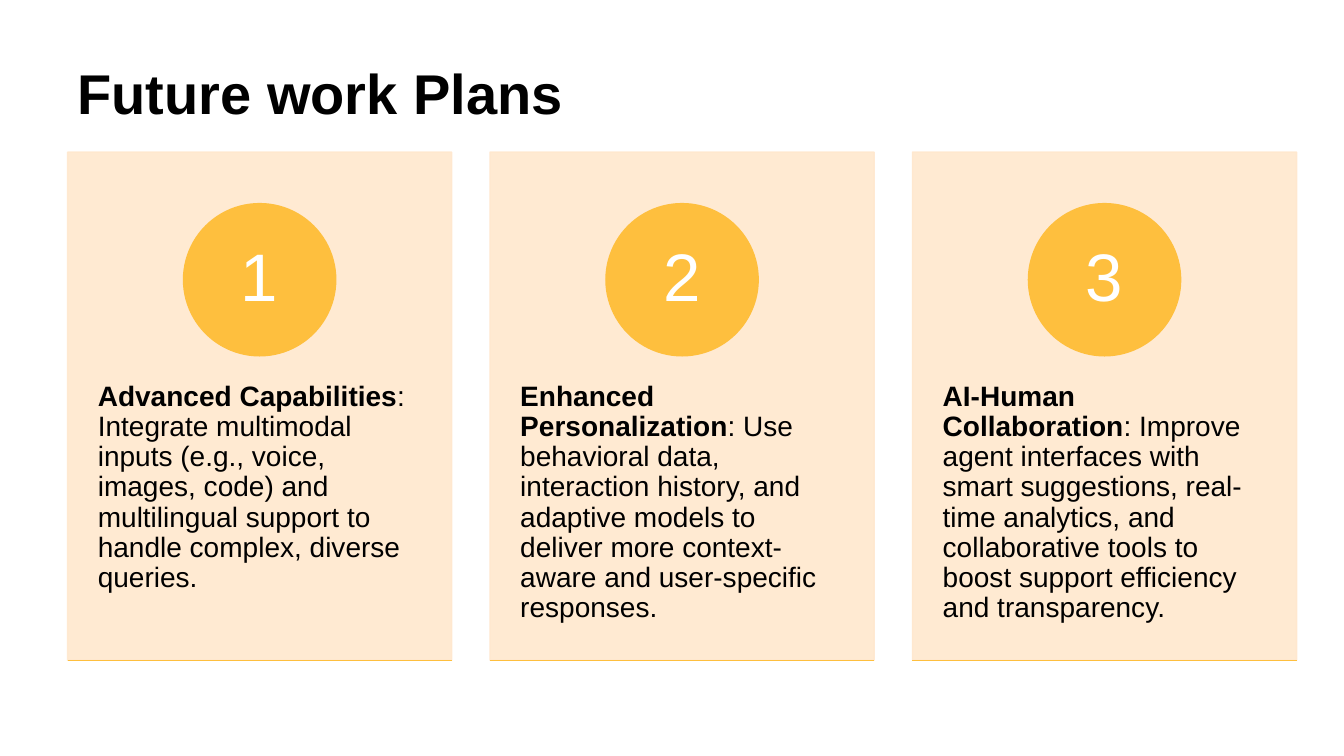
"""Build the Future work Plans slide: three numbered cards under a title."""
from lxml.etree import SubElement
from pptx import Presentation
from pptx.dml.color import RGBColor
from pptx.enum.shapes import MSO_CONNECTOR, MSO_SHAPE
from pptx.enum.text import MSO_ANCHOR, PP_ALIGN
from pptx.oxml.ns import qn
from pptx.util import Inches, Pt

TITLE = "Future work Plans"
PLANS = [
    ("Advanced Capabilities",
     ": Integrate multimodal inputs (e.g., voice, images, code) and "
     "multilingual support to handle complex, diverse queries."),
    ("Enhanced Personalization",
     ": Use behavioral data, interaction history, and adaptive models to "
     "deliver more context-aware and user-specific responses."),
    ("AI-Human Collaboration",
     ": Improve agent interfaces with smart suggestions, real-time analytics, "
     "and collaborative tools to boost support efficiency and transparency."),
]
COLORS = {"text": "000000", "card": "FFE8CE", "accent": "FEBF3E", "number": "FFFFFF"}
FONT = "Arial"
SLIDE_W, SLIDE_H = 13.33, 7.5
LEFT, CARD_TOP, CARD_W, CARD_H, PITCH = 0.67, 1.51, 3.81, 5.04, 4.19
TITLE_TOP, TITLE_W = 0.4, 12.19
BODY_TOP, BODY_H = 3.43, 3.02
CIRCLE_TOP, CIRCLE_SIZE = 2.02, 1.51


def color(key):
    return RGBColor.from_string(COLORS[key])


def box(*lengths):
    return [Inches(length) for length in lengths]


def set_margins(frame, side, end):
    frame.margin_left = frame.margin_right = Inches(side)
    frame.margin_top = frame.margin_bottom = Inches(end)


def style(paragraph, size, key):
    paragraph.line_spacing = 0.9
    paragraph.font.name = FONT
    paragraph.font.size = Pt(size)
    paragraph.font.color.rgb = color(key)


def add_block(slide, preset, place, key):
    block = slide.shapes.add_shape(preset, *box(*place))
    block.shadow.inherit = False
    block.fill.solid()
    block.fill.fore_color.rgb = color(key)
    block.line.color.rgb = color(key)
    block.line.width = Pt(1)
    return block


def add_plan(slide, index, heading, detail):
    left = LEFT + index * PITCH
    card = add_block(slide, MSO_SHAPE.RECTANGLE, (left, CARD_TOP, CARD_W, CARD_H), "card")
    for tint in card._element.spPr.iter(qn("a:srgbClr")):
        SubElement(tint, qn("a:alpha"), val="90000")

    body = slide.shapes.add_textbox(*box(left, BODY_TOP, CARD_W, BODY_H)).text_frame
    body.word_wrap = True
    set_margins(body, 0.3, 0.36)
    paragraph = body.paragraphs[0]
    style(paragraph, 20, "text")
    lead = paragraph.add_run()
    lead.text = heading
    lead.font.bold = True
    paragraph.add_run().text = detail

    circle_left = left + (CARD_W - CIRCLE_SIZE) / 2
    circle = add_block(slide, MSO_SHAPE.OVAL,
                       (circle_left, CIRCLE_TOP, CIRCLE_SIZE, CIRCLE_SIZE), "accent")
    number = circle.text_frame
    number.text = str(index + 1)
    number.vertical_anchor = MSO_ANCHOR.MIDDLE
    set_margins(number, 0.12, 0.01)
    number.paragraphs[0].alignment = PP_ALIGN.CENTER
    style(number.paragraphs[0], 48, "number")

    bottom = CARD_TOP + CARD_H
    rule = slide.shapes.add_connector(MSO_CONNECTOR.STRAIGHT,
                                      *box(left, bottom, left + CARD_W, bottom))
    rule.line.color.rgb = color("accent")
    rule.line.width = Pt(1)
    SubElement(rule._element.spPr, qn("a:effectLst"))


def main():
    deck = Presentation()
    deck.slide_width, deck.slide_height = box(SLIDE_W, SLIDE_H)
    slide = deck.slides.add_slide(deck.slide_layouts[5])
    title = slide.shapes.title
    title.left, title.top, title.width, title.height = box(
        LEFT, TITLE_TOP, TITLE_W, CARD_TOP - TITLE_TOP)
    title.text_frame.text = TITLE
    title.text_frame.vertical_anchor = MSO_ANCHOR.MIDDLE
    heading = title.text_frame.paragraphs[0]
    heading.alignment = PP_ALIGN.LEFT
    style(heading, 40, "text")
    heading.font.bold = True
    for index, plan in enumerate(PLANS):
        add_plan(slide, index, *plan)
    deck.save("out.pptx")


if __name__ == "__main__":
    main()
